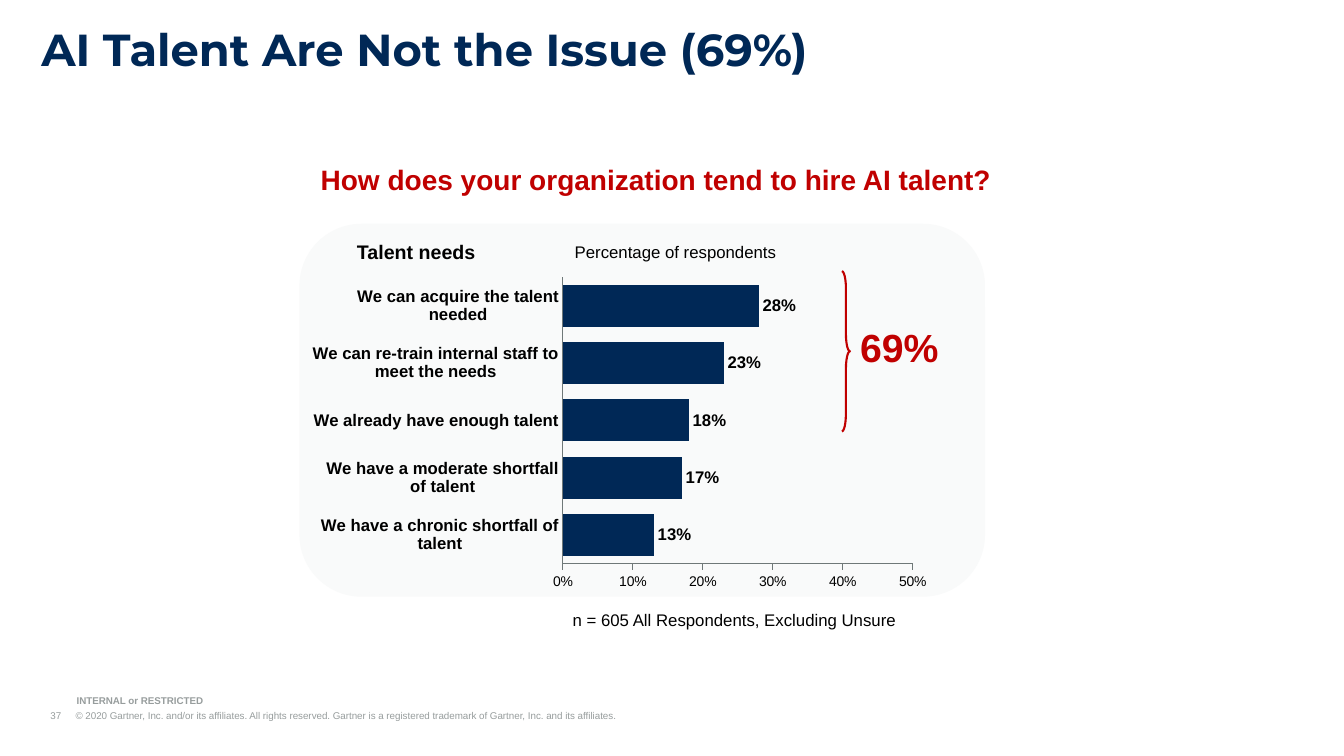
from lxml import etree
from pptx import Presentation
from pptx.chart.data import CategoryChartData
from pptx.dml.color import RGBColor
from pptx.enum.chart import XL_CHART_TYPE, XL_LABEL_POSITION, XL_TICK_MARK
from pptx.enum.shapes import MSO_SHAPE
from pptx.enum.text import MSO_ANCHOR, MSO_AUTO_SIZE
from pptx.oxml import parse_xml
from pptx.oxml.ns import nsdecls, qn
from pptx.util import Inches, Pt

COLORS = {
    "navy": "002856",
    "red": "C00000",
    "black": "000000",
    "footer": "979D9D",
    "axis": "6F7878",
    "panel": "F9FAFA",
}


def color(name):
    return RGBColor.from_string(COLORS[name])


def add_text(text, place, size, ink, bold=False, font="Arial", anchor=MSO_ANCHOR.TOP,
             insets=(0, 0), wrap=True, grow=False, spacing=None, after=None, hanging=False):
    box = page.shapes.add_textbox(*[Inches(length) for length in place])
    frame = box.text_frame
    frame.word_wrap = wrap
    frame.auto_size = MSO_AUTO_SIZE.SHAPE_TO_FIT_TEXT if grow else MSO_AUTO_SIZE.NONE
    frame.vertical_anchor = anchor
    frame.margin_left = frame.margin_right = Inches(insets[0])
    frame.margin_top = frame.margin_bottom = Inches(insets[1])
    para = frame.paragraphs[0]
    para.text = text
    if spacing:
        para.line_spacing = spacing
    if after:
        para.space_after = Pt(after)
    if hanging:
        properties = para._p.get_or_add_pPr()
        properties.set("marL", str(Inches(0.25)))
        properties.set("indent", str(-Inches(0.25)))
        tabs = etree.SubElement(properties, qn("a:tabLst"))
        etree.SubElement(tabs, qn("a:tab"), pos=str(Inches(0.25)), algn="l")
    for span in para.runs:
        span.font.name = font
        span.font.size = Pt(size)
        span.font.bold = bold
        span.font.color.rgb = color(ink)


deck = Presentation()
deck.slide_width = Inches(13.33)
deck.slide_height = Inches(7.5)
page = deck.slides.add_slide(deck.slide_layouts[6])

footer_style = {"size": 7, "ink": "footer", "anchor": MSO_ANCHOR.BOTTOM,
                "grow": True, "hanging": True}
add_text("37\t© 2020 Gartner, Inc. and/or its affiliates. All rights reserved. "
         "Gartner is a registered trademark of Gartner, Inc. and its affiliates.",
         (0.5, 7.04, 7.99, 0.12), **footer_style)
add_text("INTERNAL or RESTRICTED", (0.76, 6.89, 2.53, 0.12), bold=True, **footer_style)

panel = page.shapes.add_shape(MSO_SHAPE.ROUNDED_RECTANGLE,
                              Inches(2.97), Inches(2.22), Inches(6.8), Inches(3.7))
panel.shadow.inherit = False
panel.fill.solid()
panel.fill.fore_color.rgb = color("panel")
panel.line.fill.background()

talent_needs = {
    "We have a chronic shortfall of talent": 0.13,
    "We have a moderate shortfall of talent": 0.17,
    "We already have enough talent": 0.18,
    "We can re-train internal staff to meet the needs": 0.23,
    "We can acquire the talent needed": 0.28,
}
data = CategoryChartData(number_format="0%")
data.categories = list(talent_needs)
data.add_series("Series 1", list(talent_needs.values()))
chart = page.shapes.add_chart(XL_CHART_TYPE.BAR_CLUSTERED, Inches(3.1), Inches(2.26),
                              Inches(6.29), Inches(3.77), data).chart
chart.has_legend = False
chart.has_title = False

category_axis = chart.category_axis
value_axis = chart.value_axis
category_axis.major_tick_mark = XL_TICK_MARK.NONE
value_axis.major_tick_mark = XL_TICK_MARK.OUTSIDE
value_axis.minimum_scale = 0
value_axis.maximum_scale = 0.5
value_axis.major_unit = 0.1
for axis in (category_axis, value_axis):
    axis.has_major_gridlines = False
    axis.minor_tick_mark = XL_TICK_MARK.NONE
    axis.format.line.color.rgb = color("axis")
    axis.format.line.width = Pt(0.75)

plot = chart.plots[0]
plot.gap_width = 36
plot.vary_by_categories = False
plot.has_data_labels = True
labels = plot.data_labels
labels.show_value = True
labels.position = XL_LABEL_POSITION.OUTSIDE_END
for numbers in (labels, value_axis.tick_labels):
    numbers.number_format = "0%"
    numbers.number_format_is_linked = False
bars = plot.series[0]
bars.format.fill.solid()
bars.format.fill.fore_color.rgb = color("navy")

for font, size, bold in ((chart.font, 10, False), (value_axis.tick_labels.font, 10, False),
                         (category_axis.tick_labels.font, 12, True), (labels.font, 12, True)):
    font.name = "Arial"
    font.size = Pt(size)
    font.bold = bold
    font.color.rgb = color("black")

plot_area = chart._chartSpace.chart.plotArea
for automatic in plot_area.findall(qn("c:layout")):
    plot_area.remove(automatic)
plot_area.insert(0, parse_xml(
    f'<c:layout {nsdecls("c")}><c:manualLayout><c:layoutTarget val="inner"/>'
    '<c:xMode val="edge"/><c:yMode val="edge"/><c:x val="0.392"/><c:y val="0.13"/>'
    '<c:w val="0.554"/><c:h val="0.754"/></c:manualLayout></c:layout>'))

heading_style = {"ink": "black", "anchor": MSO_ANCHOR.MIDDLE, "insets": (0.25, 0.13),
                 "wrap": False, "spacing": 0.9}
add_text("Talent needs", (3.29, 2.35, 2.03, 0.33), 14, bold=True, **heading_style)
add_text("Percentage of respondents", (5.45, 2.38, 2.56, 0.26), 12, after=12, **heading_style)
add_text("AI Talent Are Not the Issue (69%)", (0.41, 0.28, 11.77, 0.5), 32, "navy",
         bold=True, font="Montserrat", spacing=0.9, after=12)

brace = page.shapes.add_shape(MSO_SHAPE.RIGHT_BRACE,
                              Inches(8.35), Inches(2.69), Inches(0.08), Inches(1.59))
brace.shadow.inherit = False
brace.adjustments[0] = 2.16
brace.fill.background()
brace.line.color.rgb = color("red")
brace.line.width = Pt(1.5)

add_text("69%", (8.53, 3.16, 0.79, 0.57), 28, "red", bold=True,
         insets=(0, 0.05), wrap=False, grow=True)
caption_style = {"anchor": MSO_ANCHOR.BOTTOM, "insets": (0.11, 0.05), "grow": True}
add_text("How does your organization tend to hire AI talent?",
         (3.07, 1.55, 7.07, 0.44), 20, "red", bold=True, **caption_style)
add_text("n = 605 All Respondents, Excluding Unsure",
         (5.57, 6, 4.4, 0.3), 12, "black", **caption_style)

deck.save("out.pptx")
